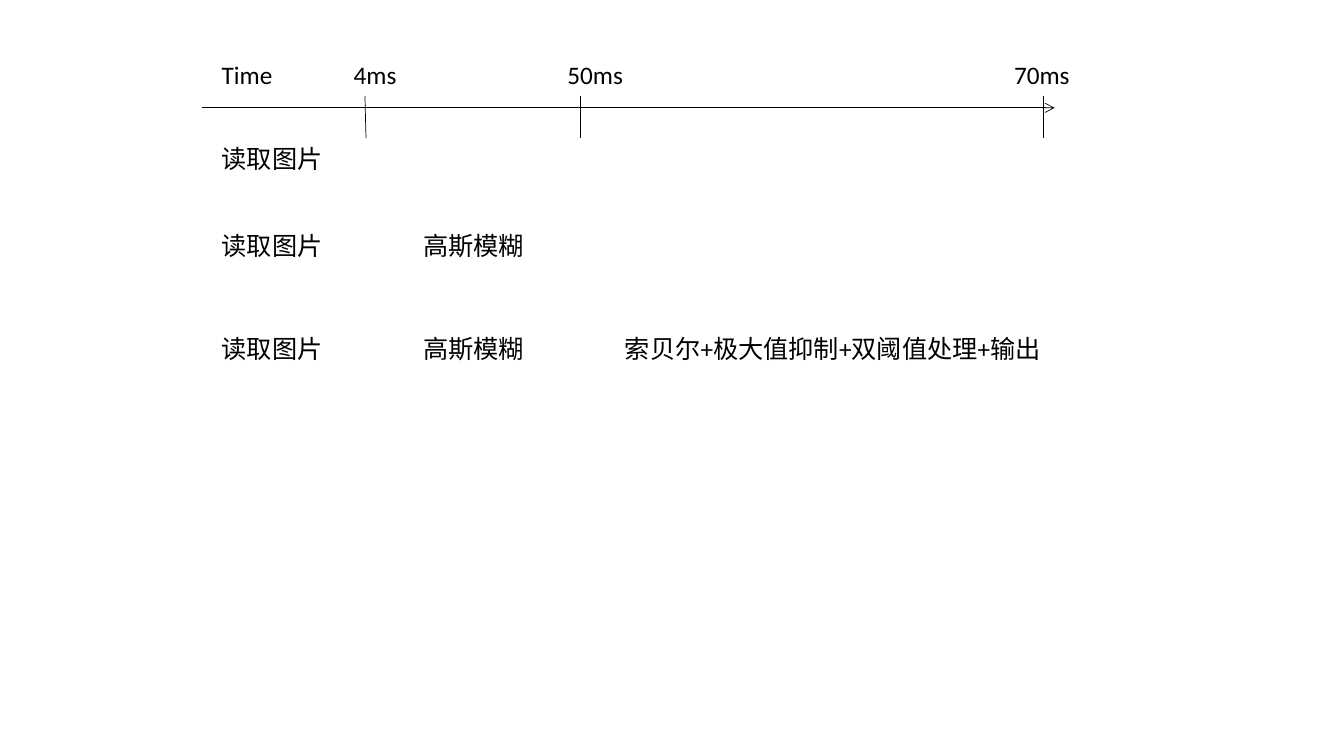
from pptx import Presentation, util as u
from pptx.dml.color import RGBColor
from pptx.enum import shapes, text
from pptx.oxml.ns import qn
from lxml import etree


def paint(code):
    """Return the colour for a hex string."""
    return RGBColor.from_string(code)


class Board:
    """Hold the style and the current slide, on a grid of tenths of an inch."""

    cell = u.Inches(0.1)
    font, size = "Calibri", u.Pt(18)
    ink, thin = "000000", u.Pt(0.5)

    def __init__(self, slide):
        """Keep the slide to draw on."""
        self.slide = slide

    def grid(self, *cells):
        """Turn grid counts into lengths."""
        return [round(n * self.cell) for n in cells]

    def line(self, start, end, arrow=False):
        """Draw a thin line, with an open arrowhead on request."""
        rule = self.slide.shapes.add_connector(
            shapes.MSO_CONNECTOR.STRAIGHT, *self.grid(*start, *end))
        rule.line.color.rgb = paint(self.ink)
        rule.line.width = self.thin
        if arrow:
            etree.SubElement(rule.line._ln, qn("a:tailEnd"), type="arrow")
        etree.SubElement(rule._element.spPr, qn("a:effectLst"))

    def label(self, words, col, row, wide, stops=()):
        """Write one line of text with optional tab stops."""
        box = self.slide.shapes.add_textbox(*self.grid(col, row, wide, 4))
        frame = box.text_frame
        frame.word_wrap = True
        frame.auto_size = text.MSO_AUTO_SIZE.SHAPE_TO_FIT_TEXT
        para = frame.paragraphs[0]
        para.text = words
        para.font.name, para.font.size = self.font, self.size
        para.font.color.rgb = paint(self.ink)
        if stops:
            tabs = etree.SubElement(para._p.get_or_add_pPr(), qn("a:tabLst"))
            for stop in self.grid(*stops):
                etree.SubElement(tabs, qn("a:tab"), pos=str(stop), algn="l")


def main():
    """Build the timeline slide."""
    deck = Presentation()
    deck.slide_width, deck.slide_height = u.Inches(13.33), u.Inches(7.5)
    board = Board(deck.slides.add_slide(deck.slide_layouts[6]))

    left, head = 21, 5.4
    board.line((20, 10.7), (104.6, 10.7), arrow=True)
    board.label("Time", left, head, 8.1)
    marks = [
        ("4ms", 34.1, 6.3, 36.2, 36.3),
        ("50ms", 55.3, 9.4, 57.6, 57.6),
        ("70ms", 99.6, 7.6, 103.5, 103.5),
    ]
    for name, col, wide, top, foot in marks:
        board.line((top, 9.5), (foot, 13.7))
        board.label(name, col, head, wide)

    steps = ["读取图片", "高斯模糊", "索贝尔+极大值抑制+双阈值处理+输出"]
    rows = [(13.7, 17.4), (22.4, 82.5), (32.6, 87.4)]
    for count, (row, wide) in enumerate(rows, 1):
        stops = [20 * n for n in range(1, count)]
        board.label("\t".join(steps[:count]), left, row, wide, stops)

    deck.save("out.pptx")


if __name__ == "__main__":
    main()
